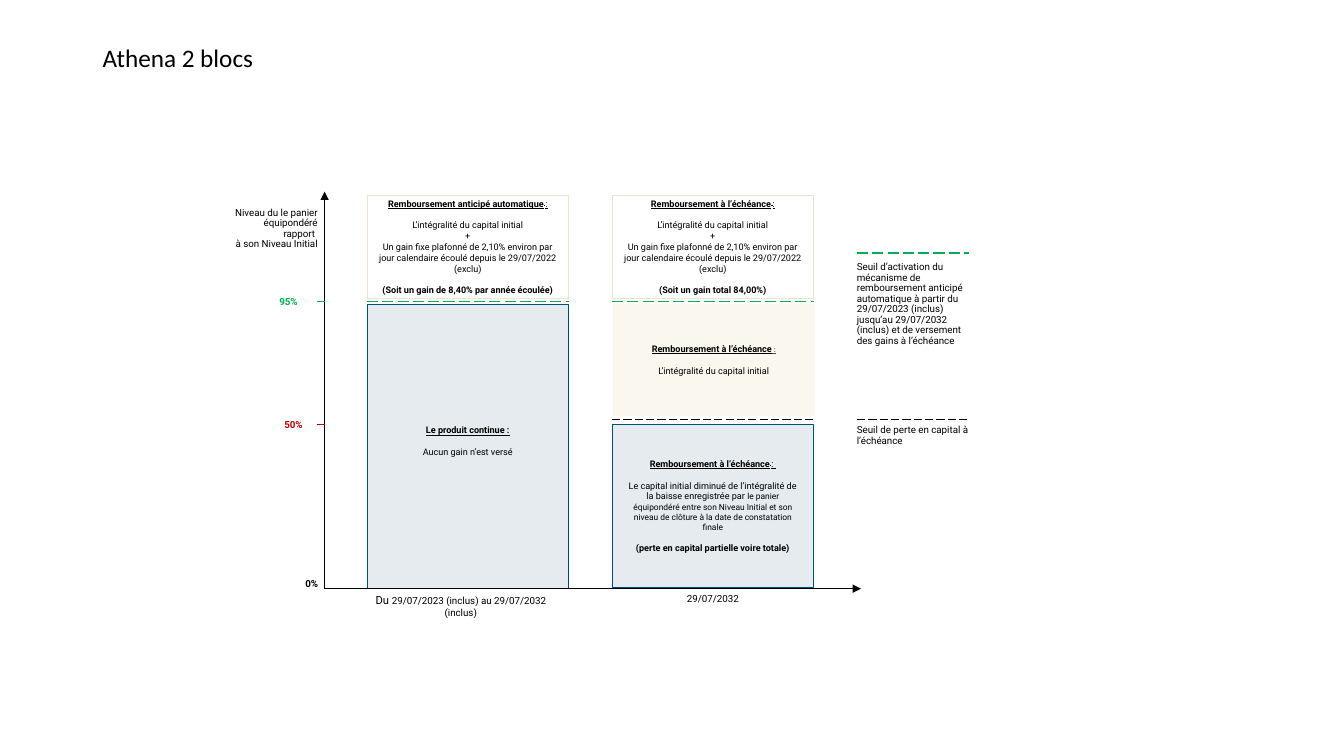
from collections import namedtuple
from dataclasses import dataclass

from lxml import etree
from pptx import Presentation
from pptx import util as u
from pptx.dml.color import RGBColor
from pptx.enum import dml, shapes, text
from pptx.oxml import ns

Box = namedtuple("Box", "x y w h")


@dataclass(frozen=True)
class Theme:
    ink: str = "000000"
    green: str = "00B050"
    red: str = "C00000"
    slate: str = "44546A"
    navy: str = "004F74"
    mist: str = "E5EBEF"
    sand: str = "EBE4CC"
    cream: str = "F9F7EE"
    white: str = "FFFFFF"
    face: str = "Roboto"
    head: str = "Calibri"
    title: float = 18
    label: float = 7
    body: float = 6.5
    small: float = 6
    gap: float = 7.6


T = Theme()
COLS, ROWS = 133.3, 75  # slide grid, ten cells to the inch
LEFT, MID, RIGHT = text.PP_ALIGN.LEFT, text.PP_ALIGN.CENTER, text.PP_ALIGN.RIGHT
PAD = (0.1, 0.05, 0.1, 0.05)
SLIM = (0, 0.05, 0, 0.05)


def cell(n):
    return u.Inches(n / 10)


def sub(box, x, y, w, h):
    return Box(box.x + x, box.y + y, w, h)


def rgb(code):
    return RGBColor.from_string(code)


def write(shape, paras, size=T.label, face=T.face, color=T.ink, bold=False,
          align=LEFT, pad=PAD, lead=None, gap=0, mid=False):
    """Each paragraph is a string or a list of (string, format) runs."""
    tf = shape.text_frame
    tf.word_wrap = True
    tf.vertical_anchor = text.MSO_ANCHOR.MIDDLE if mid else text.MSO_ANCHOR.TOP
    (tf.margin_left, tf.margin_top,
     tf.margin_right, tf.margin_bottom) = map(u.Inches, pad)
    for i, runs in enumerate(paras):
        p = tf.add_paragraph() if i else tf.paragraphs[0]
        p.alignment = align
        if lead:
            p.line_spacing = lead
        if i and gap:
            p.space_before = u.Pt(gap)
        for words, fmt in [(runs, {})] if isinstance(runs, str) else runs:
            for k, part in enumerate(words.split("\n")):
                if k:
                    p.add_line_break()
                run = p.add_run()
                run.text = part
                font = run.font
                font.name, font.size = face, u.Pt(fmt.get("size", size))
                font.bold = fmt.get("bold", bold)
                font.underline = fmt.get("line", False)
                font.color.rgb = rgb(fmt.get("color", color))
                if "base" in fmt:
                    run._r.get_or_add_rPr().set("baseline", str(fmt["base"]))


def label(slide, box, paras, **fmt):
    write(slide.shapes.add_textbox(*map(cell, box)), paras, **fmt)


def block(slide, box, paras, fill, edge, pad=(0.12, 0.05, 0.12, 0.05)):
    s = slide.shapes.add_shape(shapes.MSO_SHAPE.RECTANGLE, *map(cell, box))
    s.shadow.inherit = False
    s.fill.solid()
    s.fill.fore_color.rgb = rgb(fill)
    s.line.color.rgb = rgb(edge)
    s.line.width = u.Pt(0.25)
    write(s, paras, size=T.body, align=MID, pad=pad, gap=T.gap, mid=True)


def rule(slide, box, color, width=1, dash=False, arrow=False):
    """A line from the box's corner, w across and h down."""
    ends = box.x, box.y, box.x + box.w, box.y + box.h
    c = slide.shapes.add_connector(shapes.MSO_CONNECTOR.STRAIGHT, *map(cell, ends))
    c.line.color.rgb = rgb(color)
    c.line.width = u.Pt(width)
    if dash:
        c.line.dash_style = dml.MSO_LINE.LONG_DASH
    if arrow:
        etree.SubElement(c.line._get_or_add_ln(), ns.qn("a:tailEnd"), type="triangle")
    etree.SubElement(c._element.spPr, ns.qn("a:effectLst"))


# Text shared by the blocks
BOLD = {"bold": True}
HEAD = {"bold": True, "line": True}
GAIN = ("L’intégralité du capital initial\n+\nUn gain fixe plafonné de 2,10% environ "
        "par jour calendaire écoulé depuis le 29/07/2022 (exclu)")


def heading(words):
    return [(words, HEAD), (" ", {"line": True, "base": 30000}), (":", {"line": True})]


DUE = "Remboursement à l’échéance"

# Rows of the chart, counted from its top
HIGH, LOW, BASE = 10.9, 22.6, 39.4
SPAN = 20


def early(slide, box):
    """Column for the yearly dates."""
    block(slide, sub(box, 0, 11.2, SPAN, 28.2),
          [[("Le produit continue :", HEAD)], "Aucun gain n’est versé"],
          T.mist, T.navy, pad=(0.12, 0.05, 0.12, 0.16))
    block(slide, sub(box, 0, 0.4, SPAN, 10.2),
          [heading("Remboursement anticipé automatique"), GAIN,
           [("(Soit un gain de 8,40% par année écoulée)", BOLD)]], T.white, T.sand)
    rule(slide, sub(box, 0, HIGH, SPAN, 0), T.green, dash=True)
    label(slide, sub(box, -1.3, BASE, 21.2, 2.4),
          [[("Du ", {"size": 8}), ("29/07/2023 (inclus) au 29/07/2032 (inclus)", {})]],
          align=MID)


def final(slide, box):
    """Column for the last date."""
    block(slide, sub(box, 0, 23.1, SPAN, 16.2),
          [heading(DUE) + [(" ", HEAD)],
           [("Le capital initial diminué de l’intégralité de la baisse enregistrée par ", {}),
            ("le panier équipondéré entre son Niveau Initial et son niveau de clôture "
             "à la date de constatation finale", {"size": T.small})],
           [("(perte en capital partielle voire totale)", BOLD)]], T.mist, T.navy)
    block(slide, sub(box, 0.1, 11.2, SPAN, 11),
          [[(DUE, HEAD), (" :", {**HEAD, "size": 5, "color": T.slate})],
           "L’intégralité du capital initial"], T.cream, T.cream, pad=PAD)
    block(slide, sub(box, 0, 0.4, SPAN, 10.2),
          [heading(DUE), GAIN, [("(Soit un gain total 84,00%)", BOLD)]],
          T.white, T.sand)
    rule(slide, sub(box, 0, HIGH, SPAN, 0), T.green, dash=True)
    rule(slide, sub(box, 0, LOW, SPAN, 0), T.ink, 0.75, dash=True)
    label(slide, sub(box, 0, BASE - 0.1, SPAN, 2.2), ["29/07/2032"], align=MID)


def axes(slide, box):
    """Arrows, ticks and level labels."""
    rule(slide, sub(box, 0, BASE, 0, -BASE), T.ink, 0.75, arrow=True)
    rule(slide, sub(box, 0, BASE, box.w, 0), T.ink, 0.75, arrow=True)
    for row, left, words, color in ((HIGH, -4.5, "95%", T.green),
                                    (23.1, -4, "50%", T.red)):
        rule(slide, sub(box, -0.8, row, 0.8, 0), color)
        label(slide, sub(box, left, row - 1.1, 3.4, 2.2), [words],
              color=color, bold=True, pad=SLIM)
    label(slide, sub(box, -2.9, 37.8, 4.2, 2.2), ["0%"], bold=True,
          align=MID, pad=(0, 0.05, 0.1, 0.05))
    label(slide, sub(box, -9, 1.1, 8.3, 4.2),
          ["Niveau du le panier équipondéré rapport ", "à son Niveau Initial"],
          align=RIGHT, pad=SLIM, lead=0.9)


def legend(slide, box):
    """Meaning of the two dashed lines."""
    keys = ((0, 0.4, T.green, 1,
             "Seuil d’activation du mécanisme de remboursement anticipé automatique "
             "à partir du 29/07/2023 (inclus) jusqu’au 29/07/2032 (inclus) "
             "et de versement des gains à l’échéance"),
            (16.5, 0.1, T.ink, 0.75, "Seuil de perte en capital à l’échéance"))
    for row, drop, color, width, words in keys:
        rule(slide, sub(box, 1, row, 11.1, 0), color, width, dash=True)
        label(slide, sub(box, 0, row + drop, box.w, 3.1), [words], lead=0.9)


def main():
    deck = Presentation()
    deck.slide_width, deck.slide_height = cell(COLS), cell(ROWS)
    slide = deck.slides.add_slide(deck.slide_layouts[6])
    chart = Box(32.2, 19, 53.2, BASE)
    label(slide, Box(9.2, 3.7, 62.2, 4), ["Athena 2 blocs"], size=T.title, face=T.head)
    early(slide, sub(chart, 4.2, 0, SPAN, BASE))
    final(slide, sub(chart, 28.5, 0, SPAN, BASE))
    axes(slide, chart)
    legend(slide, Box(84, 25.1, 13.5, 20))
    deck.save("out.pptx")


if __name__ == "__main__":
    main()
